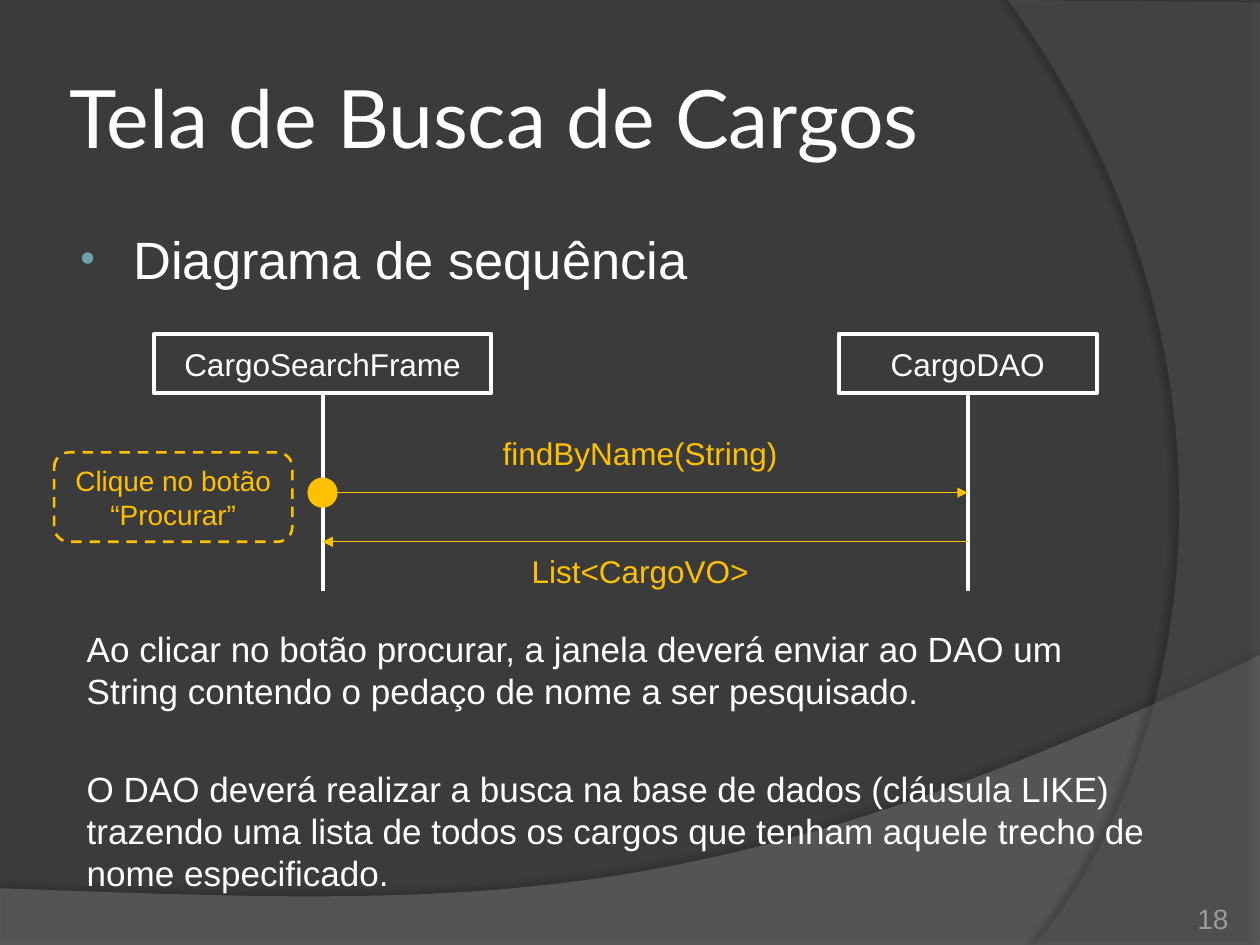
from lxml.etree import SubElement
from pptx import Presentation
from pptx.dml.color import RGBColor
from pptx.enum.dml import MSO_LINE
from pptx.enum.shapes import MSO_CONNECTOR, MSO_SHAPE
from pptx.enum.text import MSO_ANCHOR, PP_ALIGN
from pptx.oxml.ns import qn
from pptx.util import Inches, Pt

WHITE = RGBColor(0xFF, 0xFF, 0xFF)
AMBER = RGBColor(0xFF, 0xC0, 0x00)
CHARCOAL = RGBColor(0x3B, 0x3B, 0x3B)
SWOOSH_GRAY = RGBColor(0x7F, 0x7F, 0x7F)
SIDE_GRAY = RGBColor(0x5E, 0x5E, 0x5E)
NUMBER_GRAY = RGBColor(0x9D, 0x9B, 0x9A)


def write_text(box, text, size, color, align=PP_ALIGN.CENTER,
               anchor=MSO_ANCHOR.MIDDLE, font="Arial", inset=None):
    frame = box.text_frame
    frame.word_wrap = True
    frame.vertical_anchor = anchor
    if inset is not None:
        frame.margin_left = frame.margin_right = Inches(inset)
        frame.margin_top = frame.margin_bottom = Inches(inset)
    frame.text = text
    for para in frame.paragraphs:
        para.alignment = align
        for span in para.runs:
            span.font.name = font
            span.font.size = Pt(size)
            span.font.color.rgb = color
    return frame


def add_line(page, x1, y1, x2, y2, color, width, arrow=False):
    line = page.shapes.add_connector(
        MSO_CONNECTOR.STRAIGHT, Inches(x1), Inches(y1), Inches(x2), Inches(y2))
    line.line.color.rgb = color
    line.line.width = Pt(width)
    if arrow:
        SubElement(line.line._get_or_add_ln(), qn("a:tailEnd"), type="triangle")
    SubElement(line._element.spPr, qn("a:effectLst"))


deck = Presentation()
deck.slide_width, deck.slide_height = Inches(10), Inches(7.5)
page = deck.slides.add_slide(deck.slide_layouts[6])
page.background.fill.solid()
page.background.fill.fore_color.rgb = CHARCOAL

swooshes = [
    ([(0, 7.05), (0, 7.51), (10, 7.51), (10, 5.2)],
     [(5.59, 7.29), (3.91, 7.19), (0, 7.05)], SWOOSH_GRAY, 45, 35, 3.5, 270),
    ([(10, 0.02), (10, 7.5), (8.21, 7.5)],
     [(9.35, 6.19), (10.18, 3), (8, 0)], SIDE_GRAY, 40, 45, 4, 180),
]
STEPS = 48
for corners, controls, color, opacity, shade, distance, angle in swooshes:
    bezier = [corners[-1]] + controls
    points = list(corners)
    for step in range(1, STEPS + 1):
        t = step / STEPS
        weights = [(1 - t) ** 3, 3 * t * (1 - t) ** 2, 3 * t ** 2 * (1 - t), t ** 3]
        points.append([sum(w * p[axis] for w, p in zip(weights, bezier))
                       for axis in (0, 1)])
    points = [(Inches(x), Inches(y)) for x, y in points]
    builder = page.shapes.build_freeform(*points[0])
    builder.add_line_segments(points[1:], close=True)
    swoosh = builder.convert_to_shape()
    swoosh.fill.solid()
    swoosh.fill.fore_color.rgb = color
    swoosh.line.fill.background()
    fill_color = swoosh._element.spPr.find(qn("a:solidFill"))[0]
    SubElement(fill_color, qn("a:alpha"), val=str(opacity * 1000))
    effects = SubElement(swoosh._element.spPr, qn("a:effectLst"))
    shadow = SubElement(effects, qn("a:outerShdw"), blurRad=str(Pt(4)),
                        dist=str(Pt(distance)), dir=str(angle * 60000),
                        rotWithShape="0")
    shadow_color = SubElement(shadow, qn("a:srgbClr"), val="000000")
    SubElement(shadow_color, qn("a:alpha"), val=str(shade * 1000))

title = page.shapes.add_textbox(Inches(0.5), Inches(0.3), Inches(8.17), Inches(1.25))
write_text(title, "Tela de Busca de Cargos", 46, WHITE, PP_ALIGN.LEFT,
           font="Lato", inset=0.05)

topic = page.shapes.add_textbox(Inches(0.5), Inches(1.75), Inches(8.75), Inches(0.66))
frame = write_text(topic, "Diagrama de sequência", 30, WHITE, PP_ALIGN.LEFT,
                   MSO_ANCHOR.TOP)
bullet = frame.paragraphs[0]._p.get_or_add_pPr()
bullet.set("marL", str(Inches(0.46)))
bullet.set("indent", str(Inches(-0.42)))
SubElement(SubElement(bullet, qn("a:buClr")), qn("a:srgbClr"), val="6EA0B0")
SubElement(bullet, qn("a:buSzPct"), val="80000")
SubElement(bullet, qn("a:buFont"), typeface="Arial")
SubElement(bullet, qn("a:buChar"), char="•")

notes = page.shapes.add_textbox(Inches(0.59), Inches(4.93), Inches(8.74), Inches(1.53))
frame = write_text(
    notes,
    "Ao clicar no botão procurar, a janela deverá enviar ao DAO um String "
    "contendo o pedaço de nome a ser pesquisado.\n"
    "O DAO deverá realizar a busca na base de dados (cláusula LIKE) trazendo "
    "uma lista de todos os cargos que tenham aquele trecho de nome especificado.",
    20, WHITE, PP_ALIGN.LEFT, MSO_ANCHOR.TOP)
frame.paragraphs[1].space_before = Pt(32)

number = page.shapes.add_textbox(Inches(8.92), Inches(7.02), Inches(0.83), Inches(0.4))
write_text(number, "18", 16, NUMBER_GRAY, PP_ALIGN.RIGHT, MSO_ANCHOR.BOTTOM, inset=0)

FRAME_X, DAO_X = 2.56, 7.68
CALL_Y, RETURN_Y = 3.91, 4.3
for name, center, width in [("CargoSearchFrame", FRAME_X, 2.68),
                            ("CargoDAO", DAO_X, 2.05)]:
    participant = page.shapes.add_shape(
        MSO_SHAPE.RECTANGLE, Inches(center - width / 2), Inches(2.65),
        Inches(width), Inches(0.47))
    participant.shadow.inherit = False
    participant.fill.background()
    participant.line.color.rgb = WHITE
    participant.line.width = Pt(2.25)
    write_text(participant, name, 18, WHITE)
    add_line(page, center, 3.12, center, 4.69, WHITE, 2.25)

for text, top, start, end, y in [
        ("findByName(String)", 3.36, FRAME_X, DAO_X, CALL_Y),
        ("List<CargoVO>", 4.3, DAO_X, FRAME_X, RETURN_Y)]:
    add_line(page, start, y, end, y, AMBER, 0.75, arrow=True)
    message = page.shapes.add_textbox(Inches(3.82), Inches(top), Inches(2.52), Inches(0.47))
    write_text(message, text, 18, AMBER)

trigger = page.shapes.add_shape(
    MSO_SHAPE.ROUNDED_RECTANGLE, Inches(0.43), Inches(3.59), Inches(1.89), Inches(0.71))
trigger.shadow.inherit = False
trigger.fill.background()
trigger.line.color.rgb = AMBER
trigger.line.width = Pt(1.5)
trigger.line.dash_style = MSO_LINE.DASH
write_text(trigger, "Clique no botão\n“Procurar”", 16, AMBER)

dot = page.shapes.add_shape(
    MSO_SHAPE.OVAL, Inches(FRAME_X - 0.12), Inches(CALL_Y - 0.12),
    Inches(0.24), Inches(0.24))
dot.shadow.inherit = False
dot.fill.solid()
dot.fill.fore_color.rgb = AMBER
dot.line.fill.background()

deck.save("out.pptx")
